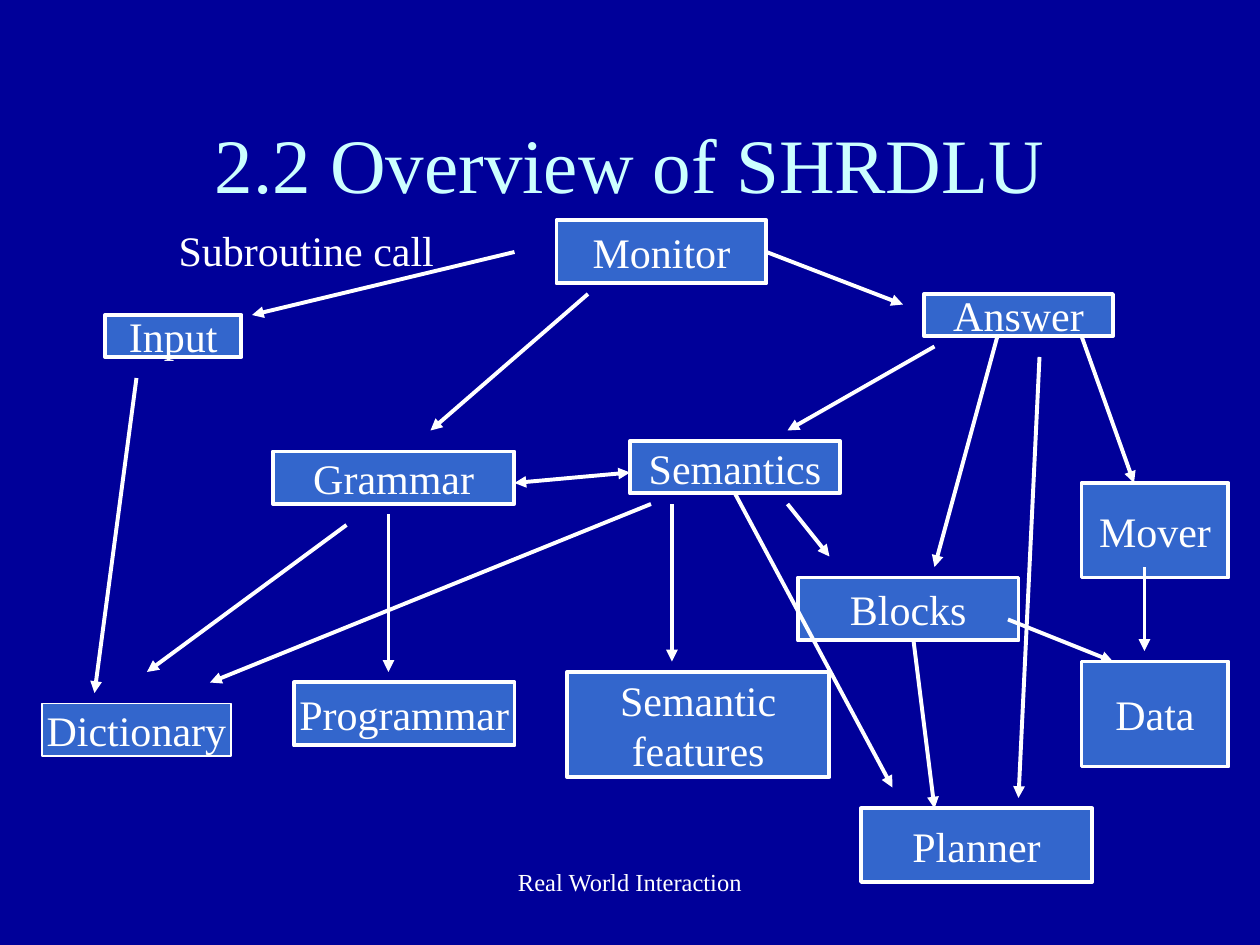
from typing import NamedTuple

from pptx import Presentation
from pptx.dml.color import RGBColor
from pptx.enum.shapes import MSO_CONNECTOR, MSO_SHAPE
from pptx.enum.text import MSO_ANCHOR, MSO_AUTO_SIZE, PP_ALIGN
from pptx.oxml.ns import qn
from pptx.slide import Slide
from pptx.text.text import TextFrame
from pptx.util import Pt
from lxml.etree import SubElement

NAVY = RGBColor(0x00, 0x00, 0x99)
BLUE = RGBColor(0x33, 0x66, 0xCC)
PALE_CYAN = RGBColor(0xCC, 0xFF, 0xFF)
WHITE = RGBColor(0xFF, 0xFF, 0xFF)
FONT = "Times New Roman"
LINE_WIDTH = 2.25


class Module(NamedTuple):
    label: str
    left: float
    top: float
    width: float
    height: float
    border: float = LINE_WIDTH


class Call(NamedTuple):
    x1: float
    y1: float
    x2: float
    y2: float
    two_way: bool = False


MODULES = [
    Module("Monitor", 318, 126, 120, 36),
    Module("Input", 60, 180, 78, 24),
    Module("Dictionary", 24, 402, 108, 30, 0.75),
    Module("Programmar", 168, 390, 126, 36),
    Module("Grammar", 156, 258, 138, 30),
    Module("Semantics", 360, 252, 120, 30),
    Module("Answer", 528, 168, 108, 24),
    Module("Blocks", 456, 330, 126, 36),
    Module("Planner", 492, 462, 132, 42),
    Module("Mover", 618, 276, 84, 54),
    Module("Data", 618, 378, 84, 60),
    Module("Semantic\nfeatures", 324, 384, 150, 60),
]

CALLS = [
    Call(294, 144, 144, 180),
    Call(78, 216, 54, 396),
    Call(336, 168, 246, 246),
    Call(198, 300, 84, 384),
    Call(294, 276, 360, 270, two_way=True),
    Call(222, 294, 222, 384),
    Call(372, 288, 120, 390),
    Call(384, 288, 384, 378),
    Call(438, 144, 516, 174),
    Call(534, 198, 450, 246),
    Call(570, 192, 534, 324),
    Call(450, 288, 474, 318),
    Call(420, 282, 510, 450),
    Call(522, 366, 534, 462),
    Call(594, 204, 582, 456),
    Call(576, 354, 636, 378),
    Call(654, 324, 654, 372),
    Call(618, 192, 648, 276),
]


def write_text(frame: TextFrame, text: str, size: float, color: RGBColor = WHITE,
               align: PP_ALIGN = PP_ALIGN.CENTER, wrap: bool = False) -> None:
    frame.text = text
    frame.word_wrap = wrap
    frame.auto_size = MSO_AUTO_SIZE.NONE
    for para in frame.paragraphs:
        para.alignment = align
        para.font.name = FONT
        para.font.size = Pt(size)
        para.font.color.rgb = color


def draw_module(page: Slide, module: Module) -> None:
    box = page.shapes.add_shape(
        MSO_SHAPE.RECTANGLE, Pt(module.left), Pt(module.top),
        Pt(module.width), Pt(module.height))
    box.shadow.inherit = False
    box.fill.solid()
    box.fill.fore_color.rgb = BLUE
    box.line.color.rgb = WHITE
    box.line.width = Pt(module.border)
    write_text(box.text_frame, module.label, 24)
    box.text_frame.vertical_anchor = MSO_ANCHOR.MIDDLE


def draw_call(page: Slide, call: Call) -> None:
    arrow = page.shapes.add_connector(
        MSO_CONNECTOR.STRAIGHT, Pt(call.x1), Pt(call.y1), Pt(call.x2), Pt(call.y2))
    arrow.line.color.rgb = WHITE
    arrow.line.width = Pt(LINE_WIDTH)
    properties = arrow.element.spPr
    line = properties.find(qn("a:ln"))
    if call.two_way:
        SubElement(line, qn("a:headEnd"), type="triangle")
    SubElement(line, qn("a:tailEnd"), type="triangle")
    SubElement(properties, qn("a:effectLst"))


def main() -> None:
    deck = Presentation()
    deck.slide_width, deck.slide_height = Pt(720), Pt(540)
    page = deck.slides.add_slide(deck.slide_layouts[5])
    page.background.fill.solid()
    page.background.fill.fore_color.rgb = NAVY

    title = page.shapes.title
    title.left, title.top, title.width, title.height = Pt(54), Pt(48), Pt(612), Pt(90)
    write_text(title.text_frame, "2.2 Overview of SHRDLU", 44, PALE_CYAN, wrap=True)
    title.text_frame.vertical_anchor = MSO_ANCHOR.MIDDLE

    for module in MODULES:
        draw_module(page, module)
    for call in CALLS:
        draw_call(page, call)

    legend = page.shapes.add_textbox(Pt(95), Pt(124.5), Pt(160.5), Pt(36))
    write_text(legend.text_frame, "Subroutine call", 24, align=PP_ALIGN.LEFT)
    footer = page.shapes.add_textbox(Pt(246), Pt(492), Pt(228), Pt(36))
    write_text(footer.text_frame, "Real World Interaction", 14, wrap=True)

    deck.save("out.pptx")


if __name__ == "__main__":
    main()
